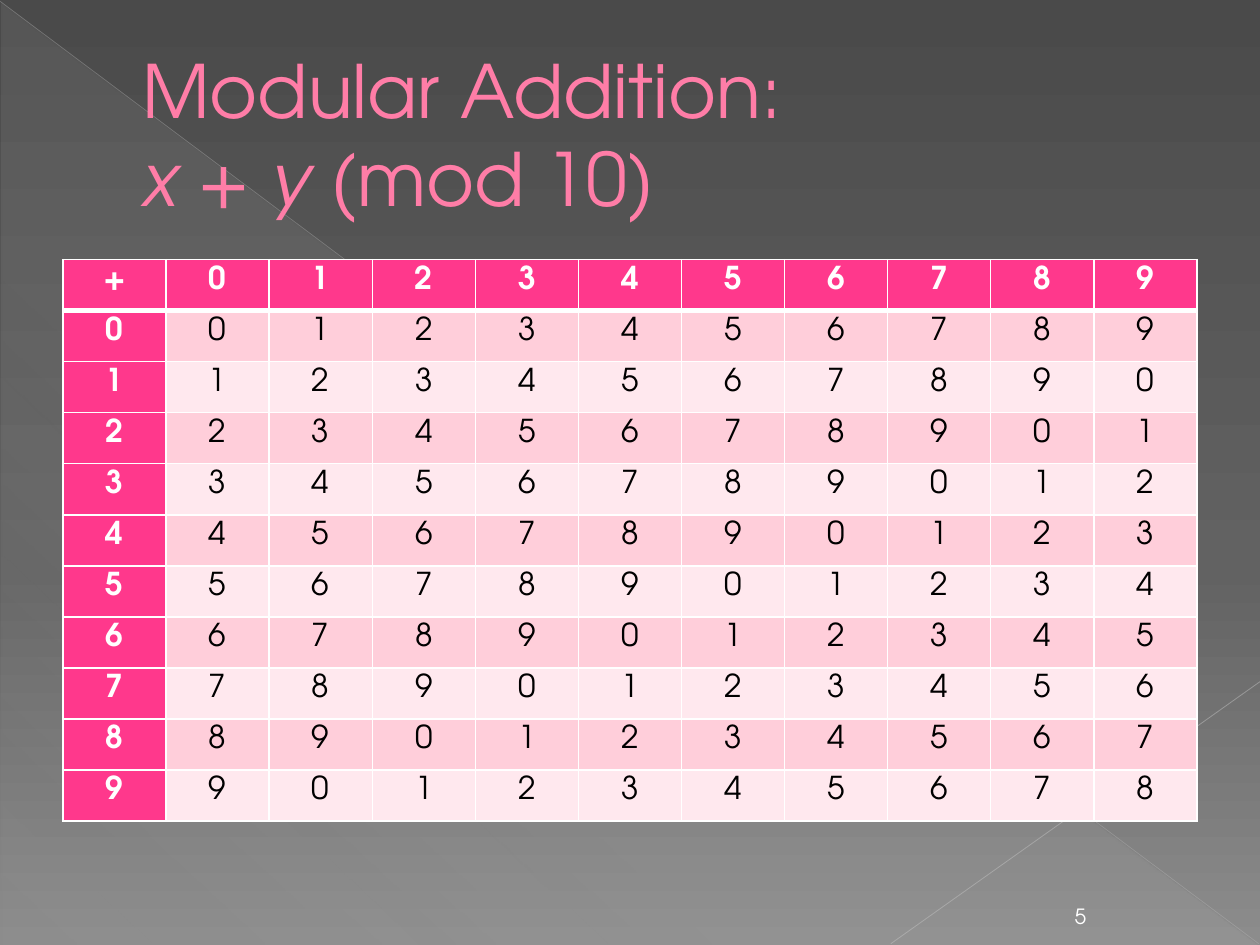
from lxml import etree
from pptx import Presentation
from pptx.dml.color import RGBColor
from pptx.enum.shapes import MSO_CONNECTOR as CONN, MSO_SHAPE as SHAPE
from pptx.enum.text import MSO_ANCHOR as ANCHOR, PP_ALIGN as ALIGN
from pptx.oxml.ns import qn
from pptx.util import Inches, Pt

FONT = "TeX Gyre Adventor"
PINK, BAND, LIGHT = "FF388C", "FFCEDA", "FFE8EE"
WHITE, BLACK = "FFFFFF", "000000"
MOD = 10


def rgb(value):
    return RGBColor.from_string(value)


def sub(parent, tag, **attrs):
    return etree.SubElement(parent, qn(tag), {k: str(v) for k, v in attrs.items()})


def add_color(parent, color, opacity=100):
    clr = sub(parent, "a:srgbClr", val=color)
    if opacity < 100:
        sub(clr, "a:alpha", val=opacity * 1000)


def set_gradient(props, stops, angle):
    old = props.find(qn("a:solidFill"))
    grad = etree.Element(qn("a:gradFill"), rotWithShape="1")
    gs_list = sub(grad, "a:gsLst")
    for pos, color, opacity in stops:
        add_color(sub(gs_list, "a:gs", pos=pos * 1000), color, opacity)
    sub(grad, "a:lin", ang=angle * 60000, scaled=0)
    props.replace(old, grad)


def set_font(r, **values):
    r.font.color.rgb = rgb(values.pop("color"))
    for name, value in {"name": FONT, **values}.items():
        setattr(r.font, name, value)


def add_text_box(slide, box, anchor):
    tf = slide.shapes.add_textbox(*map(Inches, box)).text_frame
    tf.word_wrap = True
    tf.vertical_anchor = anchor
    return tf


def add_faint_line(slide, start, end, color, width, opacity):
    sp = slide.shapes.add_connector(CONN.STRAIGHT, *map(Inches, start + end))
    sp.line.width = Pt(width)
    sp.line.color.rgb = rgb(color)
    clr = sp.line.fill._xPr.find(qn("a:solidFill"))[0]
    sub(clr, "a:alpha", val=opacity * 1000)
    sub(sp._element.spPr, "a:effectLst")


def add_backdrop(slide, box):
    left, top, width, height = box
    right, bottom = left + width, top + height
    slide.background.fill.solid()
    slide.background.fill.fore_color.rgb = rgb("4A4A4A")
    bg_pr = slide._element.cSld.find(qn("p:bg")).find(qn("p:bgPr"))
    set_gradient(bg_pr, [(0, "4A4A4A", 100), (60, "626262", 100),
                         (100, "8C8C8C", 100)], 90)
    sp = slide.shapes.add_shape(SHAPE.RIGHT_TRIANGLE, *map(
        Inches, (left + 0.01, top + 0.02, width - 0.02, height - 0.02)))
    sp.shadow.inherit = False
    sp.line.fill.background()
    sp.fill.solid()
    set_gradient(sp._element.spPr, [(0, "D2D2D2", 10), (70, "D2D2D2", 8),
                                    (100, "D2D2D2", 1)], 133)
    add_faint_line(slide, (left, top + 0.01), (right - 0.01, bottom - 0.01),
                   "BFBFBF", 0.39, 35)
    add_faint_line(slide, (right, top + 5.41), (left + 7.07, bottom - 0.01),
                   "C6C6C6", 0.47, 45)


def add_title(slide, box):
    p = add_text_box(slide, box, ANCHOR.MIDDLE).paragraphs[0]
    p._p.get_or_add_pPr().set("marL", str(Inches(0.53)))
    for text, italic in [("Modular Addition:", False), (None, False), ("x", True),
                         (" + ", False), ("y", True), (" (mod 10)", False)]:
        if text is None:
            p.add_line_break()
            continue
        r = p.add_run()
        r.text = text
        set_font(r, size=Pt(42), color="FF7DA7", italic=italic)
        ln = etree.Element(qn("a:ln"), w=str(Pt(0.5)))
        add_color(sub(ln, "a:solidFill"), "B12761")
        r._r.get_or_add_rPr().insert(0, ln)


def set_borders(cell, bottom, top):
    tc_pr = cell._tc.get_or_add_tcPr()
    for i, (side, width) in enumerate([("L", 1), ("R", 1), ("T", top), ("B", bottom)]):
        ln = etree.Element(qn("a:ln" + side), w=str(Pt(width)))
        add_color(sub(ln, "a:solidFill"), WHITE)
        tc_pr.insert(i, ln)


def add_sum_table(slide, box):
    count = MOD + 1
    table = slide.shapes.add_table(count, count, *map(Inches, box)).table
    for col in table.columns:
        col.width = Inches(box[2] / count)
    for row in table.rows:
        row.height = Inches(box[3] / count)
    for i in range(count):
        for j in range(count):
            header = i == 0 or j == 0
            if i == j == 0:
                text = "+"
            elif header:
                text = str(i + j - 1)
            else:
                text = str((i + j - 2) % MOD)
            cell = table.cell(i, j)
            cell.fill.solid()
            cell.fill.fore_color.rgb = rgb(PINK if header else BAND if i % 2 else LIGHT)
            set_borders(cell, 3 if i == 0 else 1, 3 if i == 1 else 1)
            p = cell.text_frame.paragraphs[0]
            p.alignment = ALIGN.CENTER
            r = p.add_run()
            r.text = text
            set_font(r, size=Pt(18), color=WHITE if header else BLACK, bold=header)


def add_page_number(slide, box, number):
    p = add_text_box(slide, box, ANCHOR.BOTTOM).paragraphs[0]
    p.alignment = ALIGN.CENTER
    r = p.add_run()
    r.text = str(number)
    set_font(r, size=Pt(12), color=WHITE)


prs = Presentation()
prs.slide_width, prs.slide_height = Inches(10), Inches(7.5)
slide = prs.slides.add_slide(prs.slide_layouts[6])
add_backdrop(slide, (0, 0, 10, 7.5))
add_title(slide, (0.5, 0.29, 9, 1.53))
add_sum_table(slide, (0.5, 2.06, 9, 4.46))
add_page_number(slide, (8.3, 7.09, 0.55, 0.33), 5)
prs.save("out.pptx")
